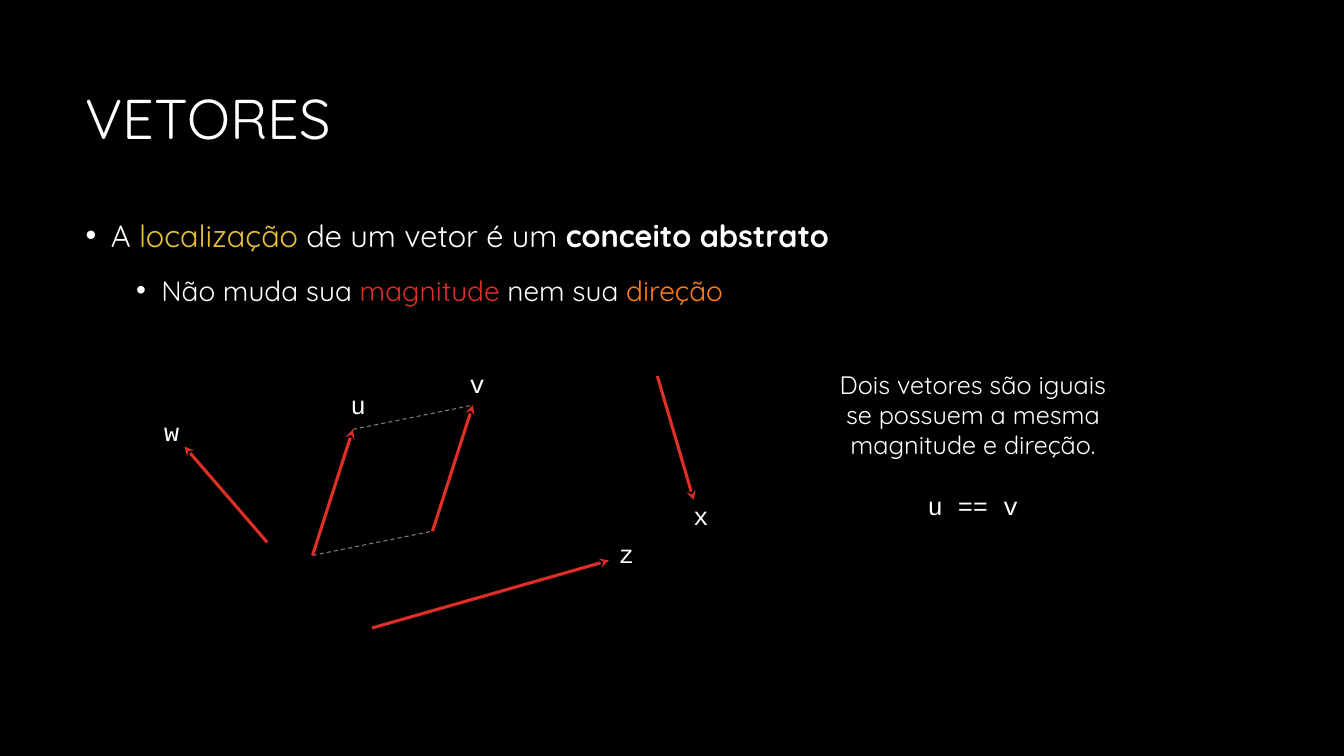
from dataclasses import dataclass
from typing import NamedTuple

from lxml import etree
from pptx import Presentation
from pptx.dml.color import RGBColor
from pptx.enum.dml import MSO_LINE
from pptx.enum.shapes import MSO_CONNECTOR
from pptx.enum.text import MSO_ANCHOR, MSO_AUTO_SIZE, PP_ALIGN
from pptx.oxml.ns import qn
from pptx.util import Emu, Pt

STRAIGHT = MSO_CONNECTOR.STRAIGHT
DASH = MSO_LINE.DASH
TOP, MIDDLE = MSO_ANCHOR.TOP, MSO_ANCHOR.MIDDLE
FIT_NONE, FIT_SHAPE = MSO_AUTO_SIZE.NONE, MSO_AUTO_SIZE.SHAPE_TO_FIT_TEXT
LEFT, CENTER = PP_ALIGN.LEFT, PP_ALIGN.CENTER
EMU_PER_PX = 9144  # 100 px to the inch


@dataclass(frozen=True)
class Theme:
    background: str = "000000"
    text: str = "FFFFFF"
    yellow: str = "E9BF35"
    red: str = "DF2E28"
    orange: str = "FE801A"
    guide: str = "808080"
    sans: str = "Quicksand"
    mono: str = "Courier New"
    title_size: int = 40
    bullet_size: int = 22
    sub_bullet_size: int = 20
    note_size: int = 18


THEME = Theme()


class Point(NamedTuple):
    x: int
    y: int


class Box(NamedTuple):
    left: int
    top: int
    width: int
    height: int


class Span(NamedTuple):
    text: str
    color: str = THEME.text
    bold: bool = False


class Bullet(NamedTuple):
    level: int
    size: int
    indent: int
    space_before: int
    spans: tuple[Span, ...]


class Vector(NamedTuple):
    name: str
    tail: Point
    tip: Point
    label: Point


BULLETS = (
    Bullet(0, THEME.bullet_size, 25, 0, (
        Span("A "),
        Span("localização", THEME.yellow),
        Span(" de um vetor é um "),
        Span("conceito abstrato", bold=True),
    )),
    Bullet(1, THEME.sub_bullet_size, 75, 12, (
        Span("Não muda sua "),
        Span("magnitude", THEME.red),
        Span(" nem sua "),
        Span("direção", THEME.orange),
    )),
)

# u and v share one displacement, so they are equal vectors
U_TAIL, V_TAIL = Point(310, 551), Point(429, 527)
SHIFT = Point(40, -125)
U_TIP, V_TIP = (Point(tail.x + SHIFT.x, tail.y + SHIFT.y) for tail in (U_TAIL, V_TAIL))
GUIDES = ((U_TIP, V_TIP), (U_TAIL, V_TAIL))
VECTORS = (
    Vector("u", U_TAIL, U_TIP, Point(338, 381)),
    Vector("v", V_TAIL, V_TIP, Point(456, 361)),
    Vector("z", Point(369, 623), Point(604, 556), Point(604, 529)),
    Vector("x", Point(652, 373), Point(688, 496), Point(678, 491)),
    Vector("w", Point(265, 538), Point(183, 443), Point(153, 408)),
)


def px(length: int) -> Emu:
    return Emu(length * EMU_PER_PX)


def place(shape, box: Box) -> None:
    shape.left, shape.top, shape.width, shape.height = map(px, box)


def add_span(para, span: Span, font: str, size: int) -> None:
    run = para.add_run()
    run.text = span.text
    run.font.name = font
    run.font.size = Pt(size)
    run.font.bold = span.bold
    run.font.color.rgb = RGBColor.from_string(span.color)


def set_bullet(para, indent: int) -> None:
    properties = para._p.get_or_add_pPr()
    properties.set("marL", str(px(indent)))
    properties.set("indent", str(px(-25)))
    etree.SubElement(properties, qn("a:buFont")).set("typeface", "Arial")
    etree.SubElement(properties, qn("a:buChar")).set("char", "•")


def add_title(page, text: str) -> None:
    title = page.shapes.title
    place(title, Box(75, 50, 1183, 141))
    title.text_frame.vertical_anchor = MIDDLE
    title.text_frame.auto_size = FIT_NONE
    para = title.text_frame.paragraphs[0]
    para.alignment = LEFT
    para.line_spacing = 0.9
    add_span(para, Span(text), THEME.sans, THEME.title_size)


def add_bullets(page, bullets: tuple[Bullet, ...]) -> None:
    body = page.placeholders[1]
    place(body, Box(75, 206, 1183, 469))
    frame = body.text_frame
    frame.vertical_anchor = TOP
    frame.auto_size = FIT_NONE
    for index, bullet in enumerate(bullets):
        para = frame.add_paragraph() if index else frame.paragraphs[0]
        para.level = bullet.level
        set_bullet(para, bullet.indent)
        para.line_spacing = 1.1
        para.space_before = Pt(bullet.space_before)
        for span in bullet.spans:
            add_span(para, span, THEME.sans, bullet.size)


def add_text_box(page, box: Box, wrap: bool):
    frame = page.shapes.add_textbox(*map(px, box)).text_frame
    frame.word_wrap = wrap
    frame.auto_size = FIT_SHAPE
    return frame


def add_line(page, start: Point, end: Point, color: str, width: float):
    line = page.shapes.add_connector(STRAIGHT, *map(px, (*start, *end)))
    line.line.color.rgb = RGBColor.from_string(color)
    line.line.width = Pt(width)
    etree.SubElement(line._element.spPr, qn("a:effectLst"))
    return line


def add_vector(page, vector: Vector) -> None:
    arrow = add_line(page, vector.tail, vector.tip, THEME.red, 2.25)
    etree.SubElement(arrow.line._get_or_add_ln(), qn("a:tailEnd")).set("type", "stealth")
    label = add_text_box(page, Box(*vector.label, 34, 40), wrap=False)
    add_span(label.paragraphs[0], Span(vector.name), THEME.mono, THEME.note_size)


def add_note(page) -> None:
    frame = add_text_box(page, Box(810, 361, 310, 162), wrap=True)
    statement, equality = frame.paragraphs[0], frame.add_paragraph()
    statement.alignment = equality.alignment = CENTER
    equality.space_before = Pt(22)
    add_span(statement, Span("Dois vetores são iguais se possuem a mesma magnitude e direção."),
             THEME.sans, THEME.note_size)
    add_span(equality, Span("u == v"), THEME.mono, THEME.note_size)


def main() -> None:
    deck = Presentation()
    deck.slide_width, deck.slide_height = px(1333), px(750)
    page = deck.slides.add_slide(deck.slide_layouts[1])
    page.background.fill.solid()
    page.background.fill.fore_color.rgb = RGBColor.from_string(THEME.background)

    # Title, list and side note
    add_title(page, "VETORES")
    add_bullets(page, BULLETS)
    add_note(page)

    # Vector diagram
    for start, end in GUIDES:
        add_line(page, start, end, THEME.guide, 0.75).line.dash_style = DASH
    for vector in VECTORS:
        add_vector(page, vector)

    deck.save("out.pptx")


if __name__ == "__main__":
    main()
